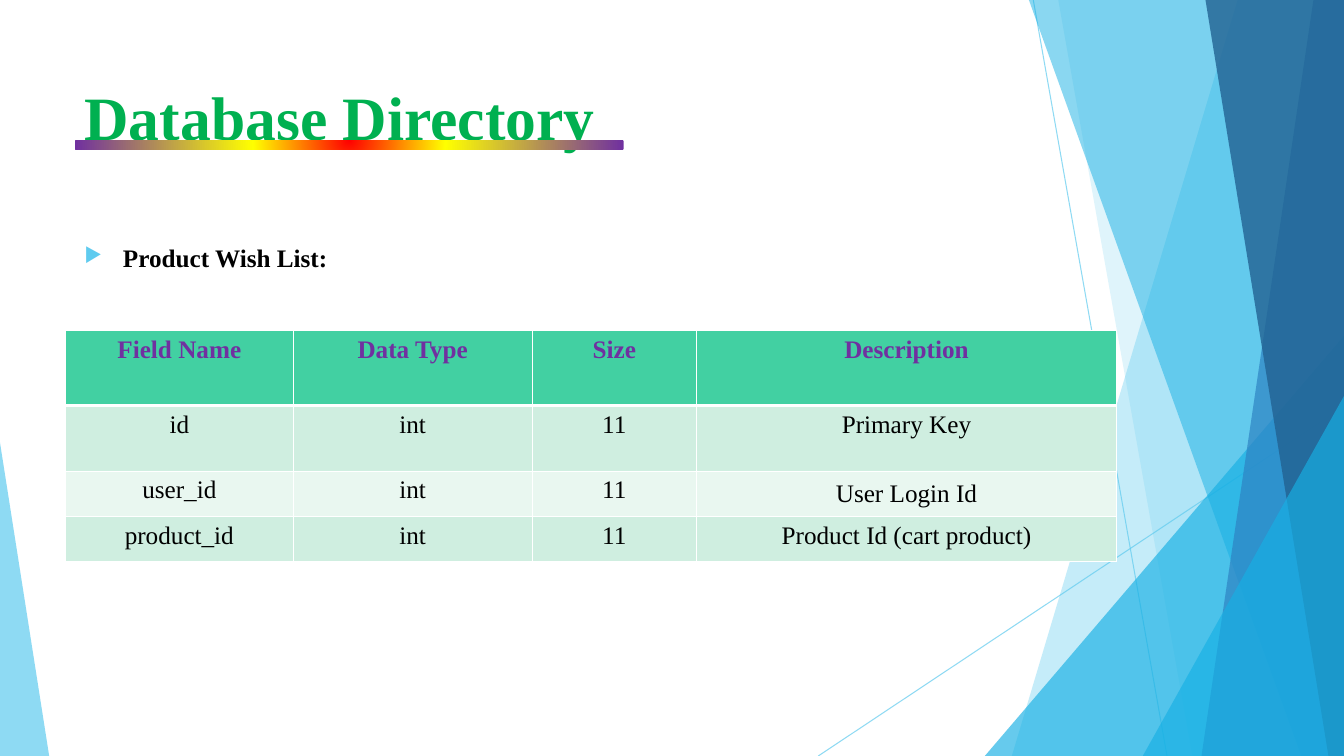
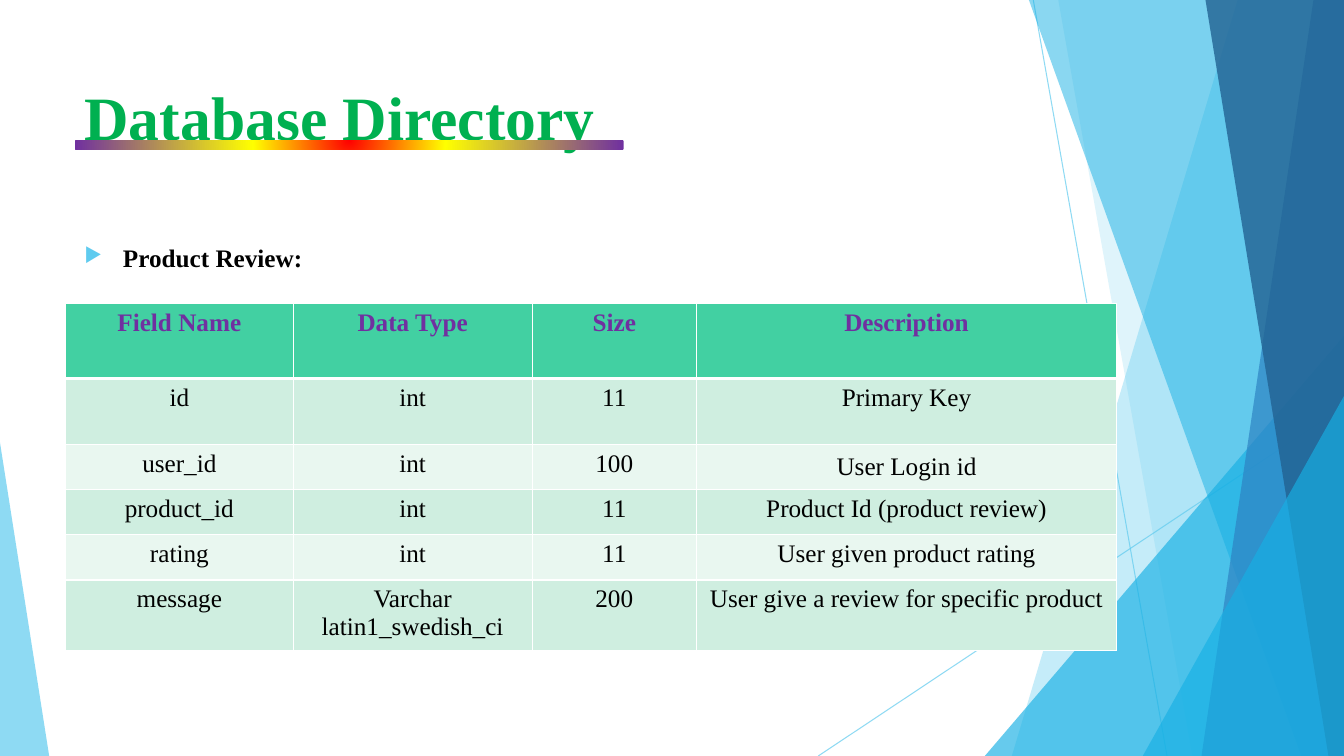
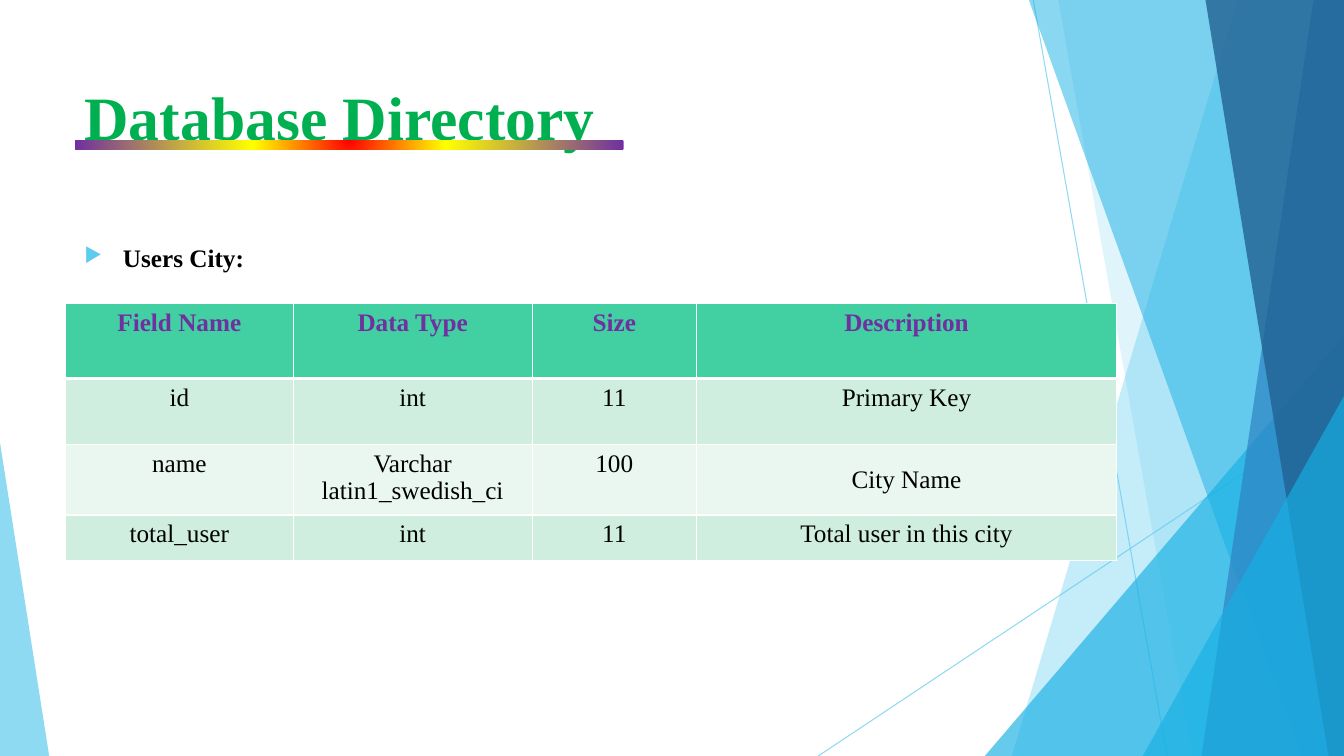
"""Build three database directory slides, each with a table of fields."""
import pptx
import pptx.dml.color
import pptx.enum.shapes
import pptx.enum.text
import pptx.oxml
import pptx.oxml.ns
import pptx.util

Cm = pptx.util.Cm
Pt = pptx.util.Pt
qn = pptx.oxml.ns.qn
Shape = pptx.enum.shapes.MSO_SHAPE
Align = pptx.enum.text.PP_ALIGN
Anchor = pptx.enum.text.MSO_ANCHOR

WIDE, HIGH = 33.87, 19.05
FONT = "Times New Roman"
SKY, AQUA, BLUE, NAVY = "5FCBEF", "17B0E4", "2E83C3", "226292"
GREEN, PURPLE, BLACK, WHITE = "00B050", "7030A0", "000000", "FFFFFF"
MINT, BANDS = "42D0A2", ("CFEEE0", "E9F7F0")

TITLE = "Database Directory"
HEAD = ("Field Name", "Data Type", "Size", "Description")
TEXT = "Varchar latin1_swedish_ci"
PAGES = [
    ("Product Wish List:", 8.33, [
        ("id", "int", "11", "Primary Key"),
        ("user_id", "int", "11", "User Login Id"),
        ("product_id", "int", "11", "Product Id (cart product)"),
    ]),
    ("Product Review:", 7.65, [
        ("id", "int", "11", "Primary Key"),
        ("user_id", "int", "100", "User Login id"),
        ("product_id", "int", "11", "Product Id (product review)"),
        ("rating", "int", "11", "User given product rating"),
        ("message", TEXT, "200", "User give a review for specific product"),
    ]),
    ("Users City:", 7.65, [
        ("id", "int", "11", "Primary Key"),
        ("name", TEXT, "100", "City Name"),
        ("total_user", "int", "11", "Total user in this city"),
    ]),
]

COLS = (5.74, 6.02, 4.14, 10.59)
TOP_ROW, TALL, LOW = 1.89, 1.66, 1.14
RAYS = [(26.04, 0, 29.41, HIGH), (WIDE, 10.24, 20.62, HIGH)]
FACETS = [
    ("strip", 31.19, 25.5, SKY, 36),
    ("strip", 26.67, 30.05, SKY, 20),
    ("peak", 24.82, 8.46, AQUA, 66),
    ("strip", 25.93, 32.79, AQUA, 50),
    ("strip", 33.1, 30.28, BLUE, 70),
    ("strip", 30.38, 33.48, NAVY, 80),
    ("peak", 28.8, 9.98, AQUA, 66),
    ("edge", 1.24, 11.15, SKY, 70),
]
STOPS = [(0, "FF0000"), (35, "FFFF00"), (100, PURPLE)]


def paint(fmt, tone):
    fmt.solid()
    fmt.fore_color.rgb = pptx.dml.color.RGBColor.from_string(tone)


def node(xml):
    tag, rest = xml.split(" ", 1)
    return pptx.oxml.parse_xml(f"<{tag} {pptx.oxml.ns.nsdecls('a')} {rest}")


def fade(shape, part):
    for tone in shape.element.spPr.iter(qn("a:srgbClr")):
        tone.append(node(f'<a:alpha val="{part * 1000}"/>'.lstrip("<")))


def write(para, text, size, tone, bold):
    run = para.add_run()
    run.text = text
    run.font.name, run.font.size, run.font.bold = FONT, Pt(size), bold
    paint(run.font.fill, tone)


def box(slide, left, top, wide, high):
    frame = slide.shapes.add_textbox(Cm(left), Cm(top), Cm(wide), Cm(high)).text_frame
    frame.word_wrap = True
    return frame


def draw_ray(slide, ends):
    ray = slide.shapes.add_connector(
        pptx.enum.shapes.MSO_CONNECTOR.STRAIGHT, *map(Cm, ends))
    ray.line.width = Pt(0.75)
    paint(ray.line.fill, SKY)
    fade(ray, 70)
    ray.element.spPr.append(node("a:effectLst />"))
    return ray


def draw_facet(slide, kind, a, b, tone, part):
    if kind == "strip":
        pen = slide.shapes.build_freeform(Cm(a), 0)
        pen.add_line_segments(
            [(Cm(x), Cm(y)) for x, y in ((WIDE, 0), (WIDE, HIGH), (b, HIGH))])
        facet = pen.convert_to_shape()
    else:
        left, wide = (a, WIDE - a) if kind == "peak" else (0, a)
        facet = slide.shapes.add_shape(
            Shape.ISOSCELES_TRIANGLE, Cm(left), Cm(b), Cm(wide), Cm(HIGH - b))
        facet.adjustments[0] = 1 if kind == "peak" else 0
    facet.shadow.inherit = False
    facet.line.fill.background()
    paint(facet.fill, tone)
    fade(facet, part)
    return facet


def dress(layout, slide):
    """Draw the shared backdrop and move it to the layout."""
    for hold in list(layout.placeholders):
        hold.element.getparent().remove(hold.element)
    parts = [draw_ray(slide, ends) for ends in RAYS]
    parts += [draw_facet(slide, *facet) for facet in FACETS]
    for part in parts:
        layout.shapes.element.append(part.element)


def add_topic(slide, topic):
    para = box(slide, 1.88, 5.99, 23.88, 10.77).paragraphs[0]
    props = para._p.get_or_add_pPr()
    props.set("marL", str(Cm(0.97)))
    props.set("indent", str(-Cm(0.97)))
    for xml in (f'a:buClr ><a:srgbClr val="{SKY}"/></a:buClr>',
                'a:buSzPct val="80000"/>', 'a:buChar char="▶"/>'):
        props.append(node(xml))
    write(para, topic, 18, BLACK, True)


def add_title(slide):
    frame = box(slide, 1.88, 1.7, 24.51, 3.66)
    frame.margin_top = Cm(0.29)
    write(frame.paragraphs[0], TITLE, 44, GREEN, True)
    bar = slide.shapes.add_shape(
        Shape.ROUNDED_RECTANGLE, Cm(1.88), Cm(3.53), Cm(13.84), Cm(0.25))
    bar.shadow.inherit = False
    bar.line.fill.background()
    stops = "".join(f'<a:gs pos="{at * 1000}"><a:srgbClr val="{tone}"/></a:gs>'
                    for at, tone in STOPS)
    bar.element.spPr.insert(2, node(
        f'a:gradFill ><a:gsLst>{stops}</a:gsLst><a:path path="circle">'
        '<a:fillToRect l="50000" t="-80000" r="50000" b="180000"/>'
        '</a:path></a:gradFill>'))


def edge(cell, row):
    props = cell._tc.get_or_add_tcPr()
    widths = {"L": 1, "R": 1, "T": 3 if row == 1 else 1, "B": 3 if row == 0 else 1}
    for spot, (side, wide) in enumerate(widths.items()):
        props.insert(spot, node(
            f'a:ln{side} w="{Pt(wide)}"><a:solidFill><a:srgbClr val="{WHITE}"/>'
            f'</a:solidFill></a:ln{side}>'))


def add_grid(slide, top, body):
    rows = [HEAD, *body]
    highs = [TOP_ROW, TALL] + [TALL if TEXT in row else LOW for row in body[1:]]
    grid = slide.shapes.add_table(
        len(rows), len(COLS), Cm(1.65), Cm(top), Cm(sum(COLS)), Cm(sum(highs))).table
    grid.horz_banding = False
    for col, wide in zip(grid.columns, COLS):
        col.width = Cm(wide)
    for r, (row, high) in enumerate(zip(rows, highs)):
        grid.rows[r].height = Cm(high)
        for c, text in enumerate(row):
            cell = grid.cell(r, c)
            paint(cell.fill, BANDS[(r - 1) % 2] if r else MINT)
            edge(cell, r)
            para = cell.text_frame.paragraphs[0]
            para.alignment = Align.CENTER
            write(para, text, 18, BLACK if r else PURPLE, r == 0)
    grid.cell(2, 3).vertical_anchor = Anchor.MIDDLE


def main():
    deck = pptx.Presentation()
    deck.slide_width, deck.slide_height = Cm(WIDE), Cm(HIGH)
    layout = deck.slide_layouts[6]
    for spot, (topic, top, body) in enumerate(PAGES):
        slide = deck.slides.add_slide(layout)
        if spot == 0:
            dress(layout, slide)
        add_topic(slide, topic)
        add_title(slide)
        add_grid(slide, top, body)
    deck.save("out.pptx")


if __name__ == "__main__":
    main()
